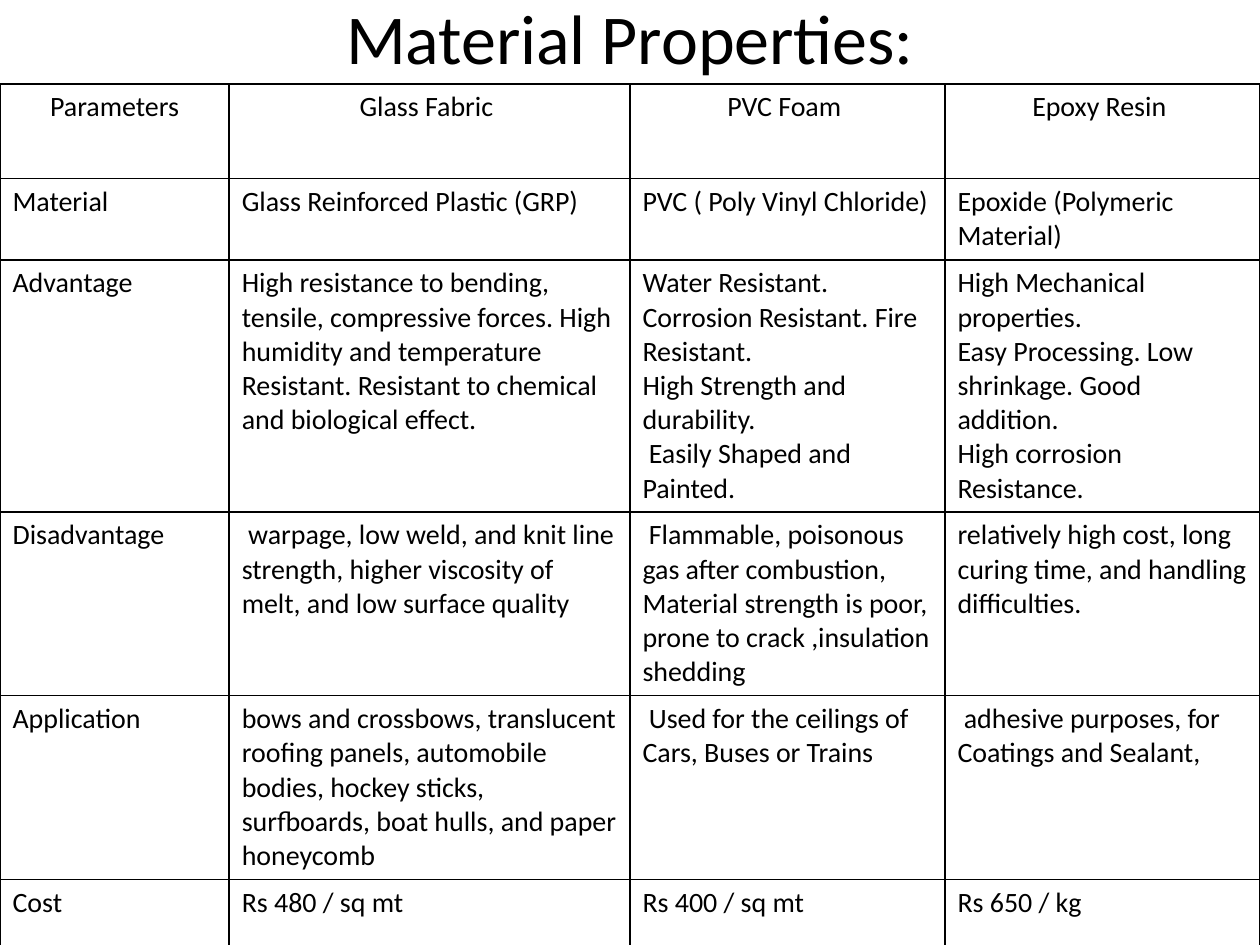
from lxml import etree
from pptx import Presentation
from pptx import util as u
from pptx.dml import color
from pptx.enum import text
from pptx.oxml import ns

INK = "000000"
PARAMETERS = [
    ["Parameters", "Glass Fabric ", "PVC Foam ", "Epoxy Resin "],
    ["Material", "Glass Reinforced Plastic (GRP)", "PVC ( Poly Vinyl Chloride)",
     "Epoxide (Polymeric Material)"],
    ["Advantage ",
     "High resistance to bending, tensile, compressive forces. High humidity and "
     "temperature Resistant. Resistant to chemical and biological effect.",
     "Water Resistant. Corrosion Resistant. Fire Resistant. \n"
     "High Strength and durability.\n Easily Shaped and Painted.",
     "High Mechanical properties.\nEasy Processing. Low shrinkage. Good addition. \n"
     "High corrosion Resistance."],
    ["Disadvantage",
     " warpage, low weld, and knit line strength, higher viscosity of melt, "
     "and low surface quality ",
     " Flammable, poisonous gas after combustion, Material strength is poor, "
     "prone to crack ,insulation shedding ",
     "relatively high cost, long curing time, and handling difficulties."],
    ["Application",
     "bows and crossbows, translucent roofing panels, automobile bodies, "
     "hockey sticks, surfboards, boat hulls, and paper honeycomb",
     " Used for the ceilings of Cars, Buses or Trains",
     " adhesive purposes, for Coatings and Sealant,"],
    ["Cost ", "Rs 480 / sq mt", "Rs 400 / sq mt", "Rs 650 / kg"],
]
COLUMN_WIDTHS = [131, 229, 180, 180]
ROW_HEIGHTS = [54, 46.5, 144, 105, 105, 43]


def rgb(value):
    return color.RGBColor.from_string(value)


def write(frame, words, size, align):
    frame.text = words
    for paragraph in frame.paragraphs:
        paragraph.alignment = align
        for run in paragraph.runs:
            run.font.name = "Calibri"
            run.font.size = u.Pt(size)
            run.font.color.rgb = rgb(INK)


def outline(cell):
    properties = cell._tc.get_or_add_tcPr()
    for position, side in enumerate(("a:lnL", "a:lnR", "a:lnT", "a:lnB")):
        border = etree.Element(ns.qn(side), w=str(u.Pt(1)))
        fill = etree.SubElement(border, ns.qn("a:solidFill"))
        etree.SubElement(fill, ns.qn("a:srgbClr"), val=INK)
        properties.insert(position, border)


def add_title(slide, left, top, width, height):
    title = slide.shapes.add_textbox(u.Pt(left), u.Pt(top), u.Pt(width), u.Pt(height))
    title.text_frame.word_wrap = True
    title.text_frame.vertical_anchor = text.MSO_ANCHOR.MIDDLE
    write(title.text_frame, "Material Properties:", 40, text.PP_ALIGN.CENTER)


def add_properties(slide, left, top):
    properties = slide.shapes.add_table(
        len(ROW_HEIGHTS), len(COLUMN_WIDTHS), u.Pt(left), u.Pt(top),
        u.Pt(sum(COLUMN_WIDTHS)), u.Pt(sum(ROW_HEIGHTS))).table
    properties.horz_banding = False
    properties.first_row = False
    for column, width in zip(properties.columns, COLUMN_WIDTHS):
        column.width = u.Pt(width)
    for index, (row, height) in enumerate(zip(properties.rows, ROW_HEIGHTS)):
        row.height = u.Pt(height)
        align = text.PP_ALIGN.LEFT if index else text.PP_ALIGN.CENTER
        for cell, words in zip(row.cells, PARAMETERS[index]):
            write(cell.text_frame, words, 16, align)
            cell.fill.background()
            outline(cell)


deck = Presentation()
deck.slide_width, deck.slide_height = u.Pt(720), u.Pt(540)
slide = deck.slides.add_slide(deck.slide_layouts[6])
add_title(slide, 36, -24, 648, 90)
add_properties(slide, 0, 48)
deck.save("out.pptx")
